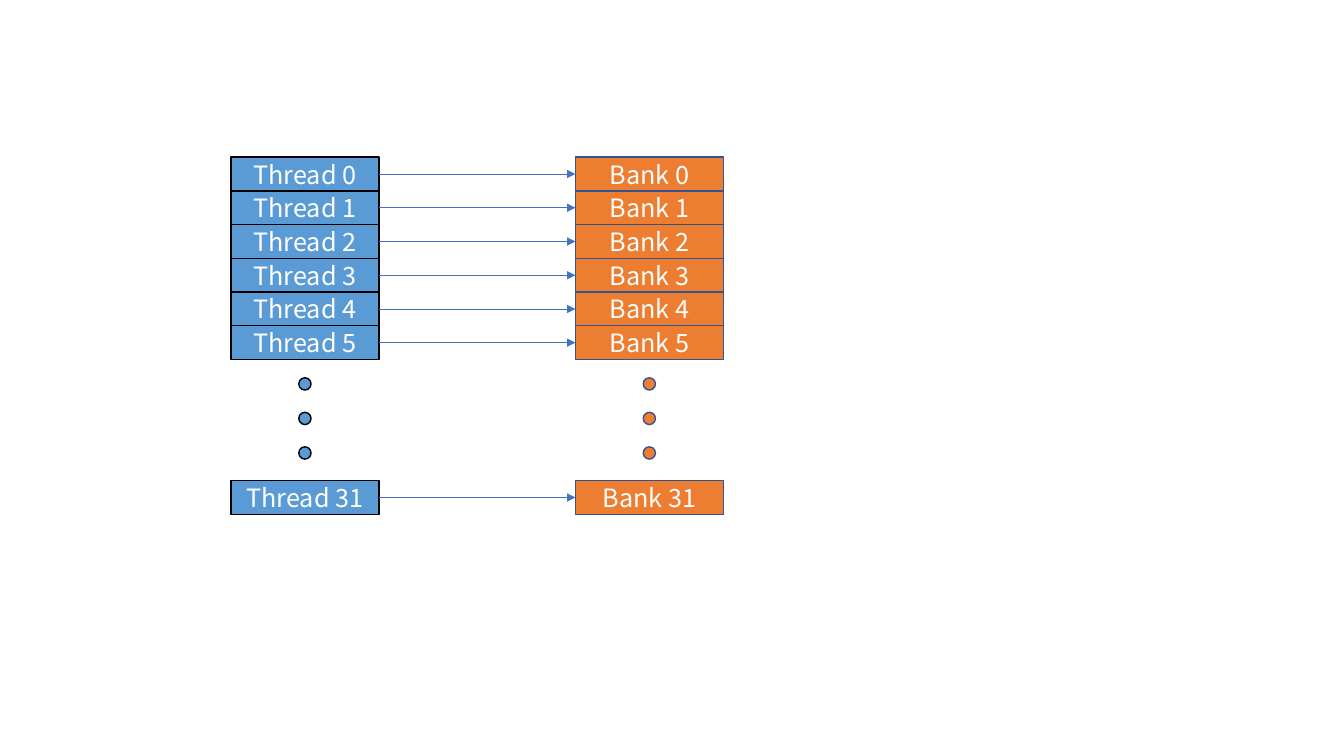
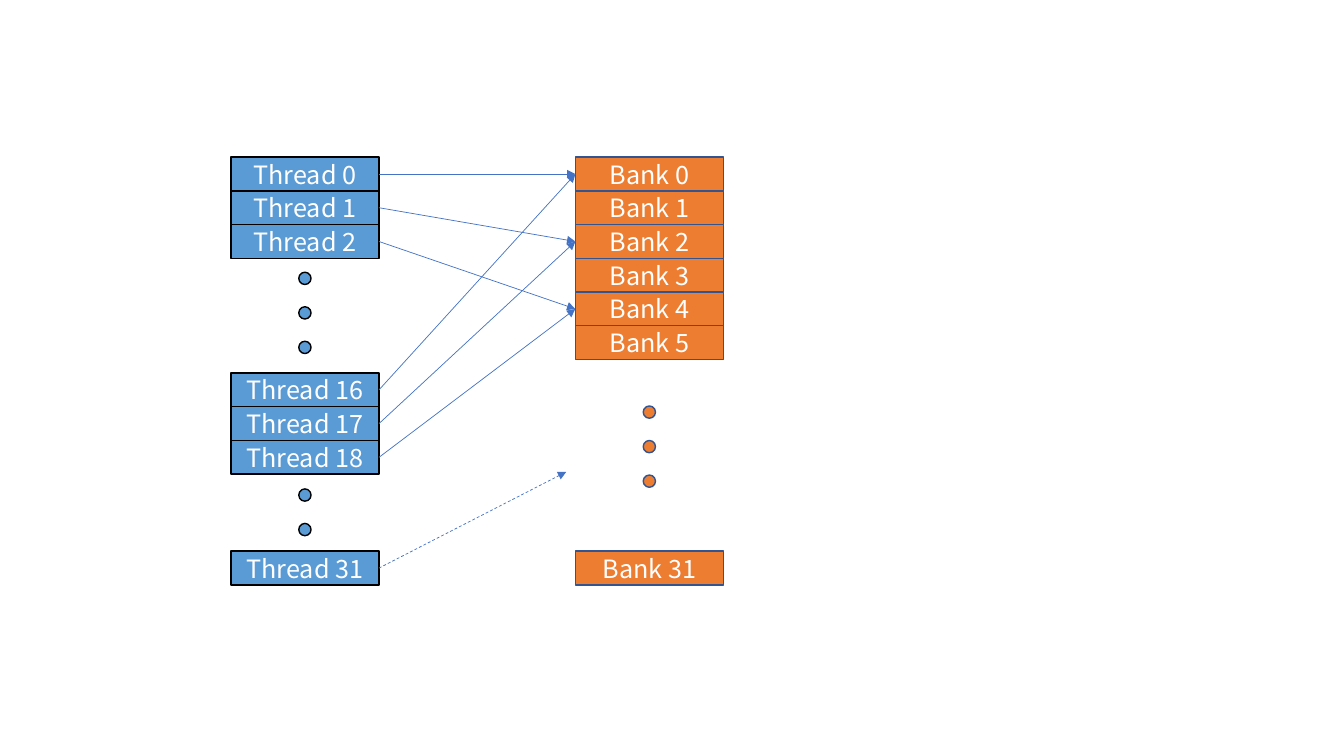
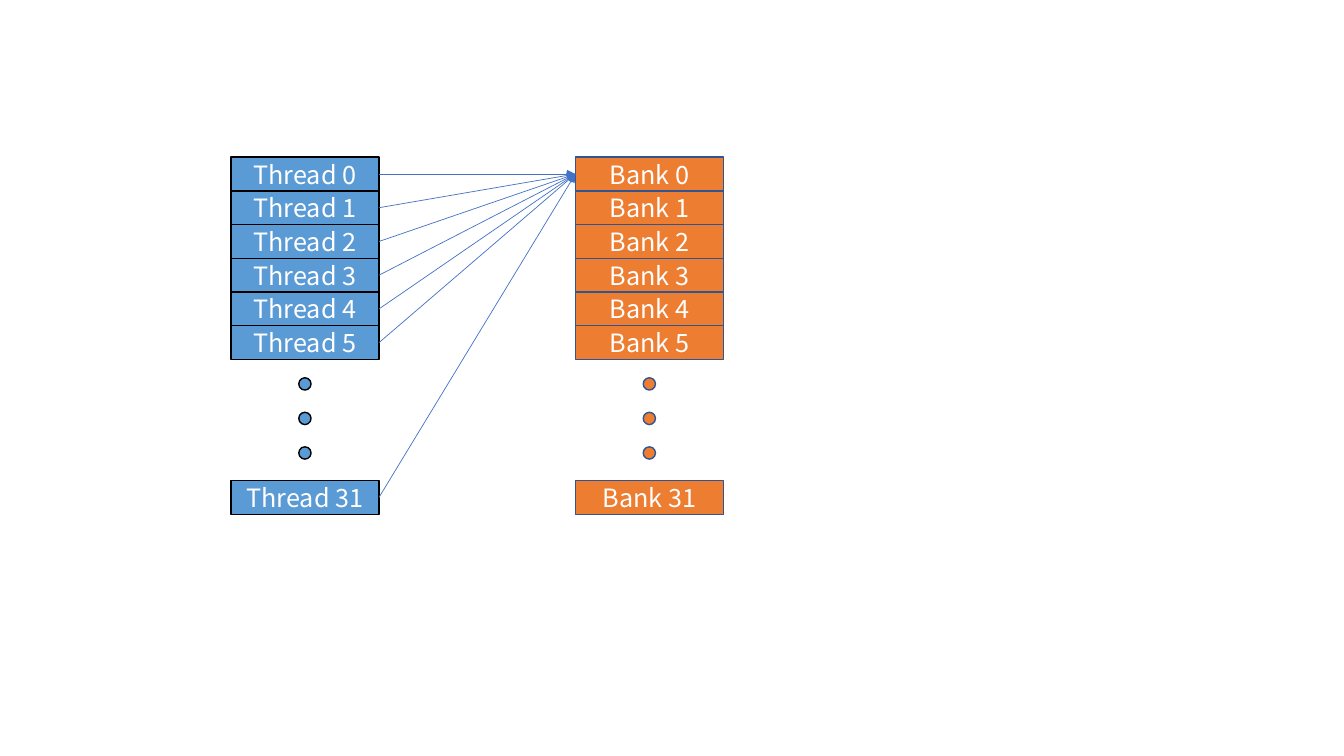
from lxml.etree import SubElement
from pptx import Presentation
from pptx.dml.color import RGBColor
from pptx.enum.dml import MSO_LINE
from pptx.enum.shapes import MSO_CONNECTOR, MSO_SHAPE
from pptx.enum.text import MSO_ANCHOR, PP_ALIGN
from pptx.oxml.ns import qn
from pptx.util import Cm, Pt

FONT = "Noto Sans CJK SC"
WHITE, ARROW = "FFFFFF", "4472C4"
THREAD = {"name": "Thread", "fill": "5B9BD5", "line": "000000"}
BANK = {"name": "Bank", "fill": "ED7D31", "line": "325491"}

TOP, THREAD_LEFT, BANK_LEFT = 3.96, 5.82, 14.5
CELL_WIDTH, CELL_HEIGHT = 3.73, 0.85
DOT_SIZE, DOT_PITCH = 0.31, 0.87
RIGHT_SIDE, LEFT_SIDE = 3, 1

# Offsets in cm below the column's top: stacks of numbered cells, groups of dots
SIX_AND_LAST = {"stacks": [(0, range(6)), (8.15, [31])], "dots": [(5.56, 3)]}
SPLIT_THREADS = {"stacks": [(0, range(3)), (5.44, range(16, 19)), (9.93, [31])],
                 "dots": [(2.9, 3), (8.36, 2)]}
SPREAD_BANKS = {"stacks": [(0, range(6)), (9.93, [31])], "dots": [(6.27, 3)]}


def color(hex_value):
    return RGBColor.from_string(hex_value)


def add_figure(page, kind, left, top, width, height, style):
    figure = page.shapes.add_shape(kind, Cm(left), Cm(top), Cm(width), Cm(height))
    figure.shadow.inherit = False
    figure.fill.solid()
    figure.fill.fore_color.rgb = color(style["fill"])
    figure.line.color.rgb = color(style["line"])
    figure.line.width = Pt(1)
    return figure


def add_cell(page, left, top, style, number):
    cell = add_figure(page, MSO_SHAPE.RECTANGLE, left, top,
                      CELL_WIDTH, CELL_HEIGHT, style)
    cell.text_frame.vertical_anchor = MSO_ANCHOR.MIDDLE
    para = cell.text_frame.paragraphs[0]
    para.text = f"{style['name']} {number}"
    para.alignment = PP_ALIGN.CENTER
    para.font.name = FONT
    para.font.size = Pt(18)
    para.font.color.rgb = color(WHITE)
    return cell


def add_column(page, left, top, style, layout):
    """Draw the stacks and dots of one column; return its cells by number."""
    cells = {}
    for offset, numbers in layout["stacks"]:
        for row, number in enumerate(numbers):
            cells[number] = add_cell(page, left, top + offset + row * CELL_HEIGHT,
                                     style, number)
    dot_left = left + (CELL_WIDTH - DOT_SIZE) / 2
    for offset, count in layout["dots"]:
        for row in range(count):
            add_figure(page, MSO_SHAPE.OVAL, dot_left, top + offset + row * DOT_PITCH,
                       DOT_SIZE, DOT_SIZE, style)
    return cells


def add_arrow(page, thread, bank=None, end=(0, 0)):
    """Point from a thread to a bank, or dashed to a free end in cm."""
    arrow = page.shapes.add_connector(MSO_CONNECTOR.STRAIGHT, 0, 0,
                                      Cm(end[0]), Cm(end[1]))
    arrow.begin_connect(thread, RIGHT_SIDE)
    arrow.line.color.rgb = color(ARROW)
    arrow.line.width = Pt(0.5)
    if bank is None:
        arrow.line.dash_style = MSO_LINE.DASH
    else:
        arrow.end_connect(bank, LEFT_SIDE)
    SubElement(arrow.line._get_or_add_ln(), qn("a:tailEnd"), type="triangle")
    SubElement(arrow._element.spPr, qn("a:effectLst"))


def add_access_slide(deck, thread_layout, bank_layout, targets):
    """Show which bank each thread reads; targets maps thread to bank number."""
    page = deck.slides.add_slide(deck.slide_layouts[6])
    threads = add_column(page, THREAD_LEFT, TOP, THREAD, thread_layout)
    banks = add_column(page, BANK_LEFT, TOP, BANK, bank_layout)
    for thread, bank in targets.items():
        add_arrow(page, threads[thread], banks[bank])
    return page, threads


def main():
    deck = Presentation()
    deck.slide_width, deck.slide_height = Cm(33.87), Cm(19.05)
    shown = [*range(6), 31]

    add_access_slide(deck, SIX_AND_LAST, SIX_AND_LAST,
                     {number: number for number in shown})

    stride_two = {number: number * 2 % 32 for number in (0, 1, 2, 16, 17, 18)}
    page, threads = add_access_slide(deck, SPLIT_THREADS, SPREAD_BANKS, stride_two)
    add_arrow(page, threads[31], end=(BANK_LEFT - 0.23, TOP + 7.93))

    add_access_slide(deck, SIX_AND_LAST, SIX_AND_LAST, dict.fromkeys(shown, 0))
    deck.save("out.pptx")


if __name__ == "__main__":
    main()
